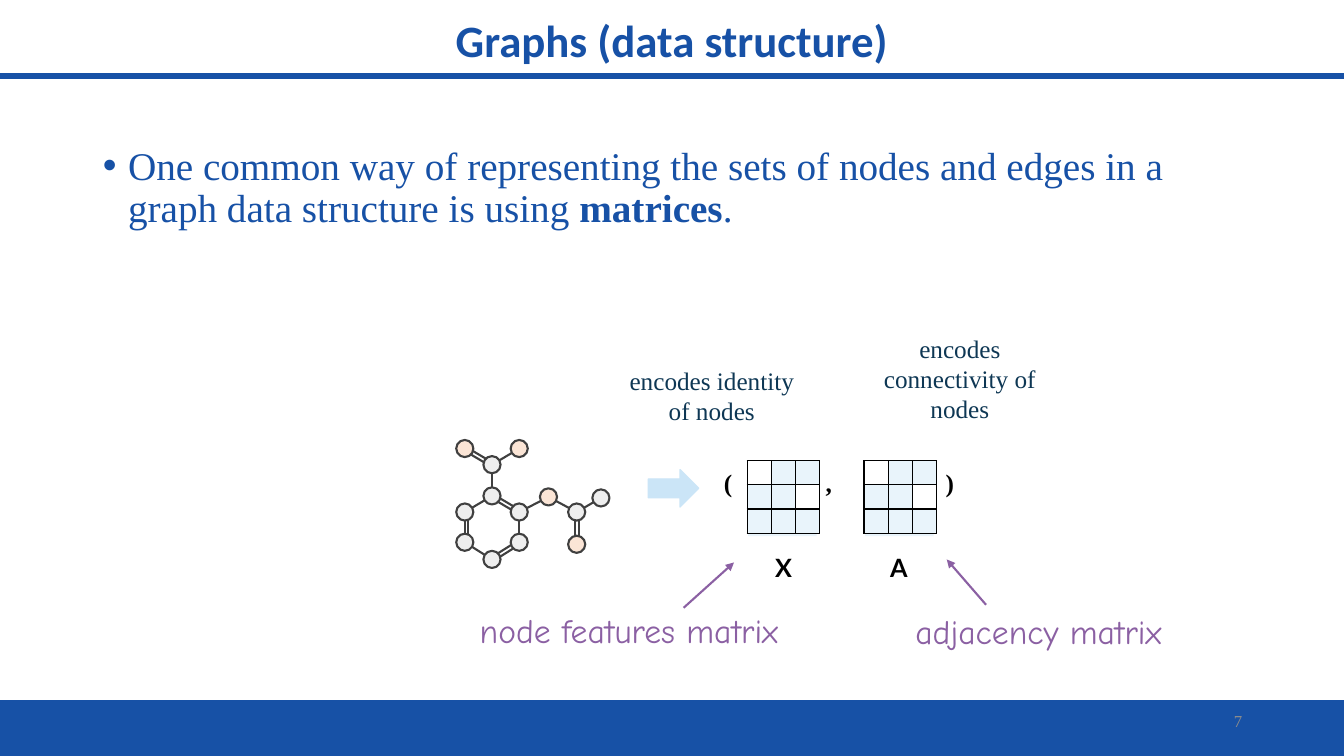
from dataclasses import dataclass
from math import hypot

from lxml import etree
from pptx import Presentation
from pptx import util as u
from pptx.dml.color import RGBColor
from pptx.enum import shapes, text
from pptx.oxml import ns

BLUE = RGBColor(0x17, 0x51, 0xA6)
NAVY = RGBColor(0x0E, 0x37, 0x54)
PURPLE = RGBColor(0x8B, 0x60, 0xA3)
PALE_BLUE = RGBColor(0xE9, 0xF4, 0xFB)
ARROW_BLUE = RGBColor(0xCB, 0xE5, 0xF7)
CARBON = RGBColor(0xEE, 0xEE, 0xEE)
OXYGEN = RGBColor(0xFB, 0xE5, 0xD6)
DARK_GREY = RGBColor(0x40, 0x40, 0x40)
GREY = RGBColor(0x8C, 0x8C, 0x8C)
BLACK = RGBColor(0, 0, 0)
WHITE = RGBColor(0xFF, 0xFF, 0xFF)
SERIF = "Times New Roman"
HAND = "Comic Neue"
CENTER, LEFT, RIGHT = text.PP_ALIGN.CENTER, text.PP_ALIGN.LEFT, text.PP_ALIGN.RIGHT
KIND = shapes.MSO_SHAPE
CELL = 0.24
ATOM_SIZE = 0.17
DOUBLE = (-0.02, 0.02)


@dataclass
class Label:
    words: str
    left: float
    top: float
    width: float
    height: float
    font: str
    size: int
    color: RGBColor
    align: text.PP_ALIGN = CENTER
    bold: bool = False
    wrap: bool = True


@dataclass
class Atom:
    x: float
    y: float
    color: RGBColor = CARBON


@dataclass
class Bond:
    start: int
    end: int
    offsets: tuple[float, ...] = (0,)


LABELS = [
    Label("7", 9.42, 6.95, 3, 0.4, SERIF, 12, GREY, RIGHT),
    Label("X", 7.59, 5.43, 0.34, 0.4, "Lato", 18, BLACK, bold=True, wrap=False),
    Label("A", 8.73, 5.43, 0.35, 0.4, "Lato", 18, BLACK, bold=True, wrap=False),
    Label("encodes identity of nodes", 6.11, 3.57, 1.9, 0.71, SERIF, 18, NAVY),
    Label("encodes connectivity of nodes", 8.57, 3.25, 1.9, 1.01, SERIF, 18, NAVY),
    Label("node features matrix", 4.66, 6, 4.67, 0.5, HAND, 24, PURPLE, LEFT),
    Label("adjacency matrix", 8.98, 6.01, 4.67, 0.5, HAND, 24, PURPLE, LEFT),
]
ATOMS = [
    Atom(4.61, 4.45, OXYGEN), Atom(4.88, 4.61), Atom(5.15, 4.45, OXYGEN),
    Atom(4.88, 4.92), Atom(4.61, 5.08), Atom(4.61, 5.38), Atom(4.88, 5.55),
    Atom(5.15, 5.38), Atom(5.15, 5.08), Atom(5.44, 4.93, OXYGEN),
    Atom(5.72, 5.08), Atom(5.72, 5.4, OXYGEN), Atom(5.96, 4.94),
]
BONDS = [
    Bond(0, 1, DOUBLE), Bond(1, 2), Bond(1, 3), Bond(3, 4), Bond(4, 5, (0, 0.03)),
    Bond(5, 6), Bond(6, 7, DOUBLE), Bond(7, 8), Bond(3, 8, DOUBLE), Bond(8, 9),
    Bond(9, 10), Bond(10, 11, DOUBLE), Bond(10, 12),
]


def add_run(para, words: str, font: str, size: int, color: RGBColor, bold: bool = False) -> None:
    span = para.add_run()
    span.text = words
    span.font.name = font
    span.font.size = u.Pt(size)
    span.font.color.rgb = color
    span.font.bold = bold


def place(shape, left: float, top: float, width: float, height: float) -> None:
    shape.left, shape.top = u.Inches(left), u.Inches(top)
    shape.width, shape.height = u.Inches(width), u.Inches(height)


def add_box(page, kind, left: float, top: float, width: float, height: float,
            fill: RGBColor | None = None, line: RGBColor | None = None, weight: float = 1):
    box = page.shapes.add_shape(kind, u.Inches(left), u.Inches(top), u.Inches(width), u.Inches(height))
    box.shadow.inherit = False
    if fill is None:
        box.fill.background()
    else:
        box.fill.solid()
        box.fill.fore_color.rgb = fill
    if line is None:
        box.line.fill.background()
    else:
        box.line.color.rgb = line
        box.line.width = u.Pt(weight)
    return box


def add_label(page, label: Label) -> None:
    box = page.shapes.add_textbox(0, 0, 0, 0)
    place(box, label.left, label.top, label.width, label.height)
    box.text_frame.word_wrap = label.wrap
    box.text_frame.vertical_anchor = text.MSO_ANCHOR.MIDDLE
    para = box.text_frame.paragraphs[0]
    para.alignment = label.align
    add_run(para, label.words, label.font, label.size, label.color, label.bold)


def add_line(page, x1: float, y1: float, x2: float, y2: float, color: RGBColor, arrow: bool = False) -> None:
    line = page.shapes.add_connector(
        shapes.MSO_CONNECTOR.STRAIGHT, u.Inches(x1), u.Inches(y1), u.Inches(x2), u.Inches(y2))
    line.line.color.rgb = color
    line.line.width = u.Pt(1.5)
    if arrow:
        etree.SubElement(line.line._get_or_add_ln(), ns.qn("a:tailEnd"), type="triangle")
    etree.SubElement(line._element.spPr, ns.qn("a:effectLst"))


def add_bond(page, bond: Bond) -> None:
    start, end = ATOMS[bond.start], ATOMS[bond.end]
    dx, dy = end.x - start.x, end.y - start.y
    length = hypot(dx, dy)
    for offset in bond.offsets:
        sx, sy = offset * dy / length, -offset * dx / length
        add_line(page, start.x + sx, start.y + sy, end.x + sx, end.y + sy, DARK_GREY)


def add_matrix(page, left: float, top: float) -> None:
    add_box(page, KIND.RECTANGLE, left + 0.01, top, 0.68, 0.75, PALE_BLUE)
    side = u.Inches(3 * CELL)
    table = page.shapes.add_table(3, 3, u.Inches(left), u.Inches(top), side, side).table
    for row in range(3):
        for column in range(3):
            cell = table.cell(row, column)
            cell.margin_left = cell.margin_right = cell.margin_top = cell.margin_bottom = 0
            properties = cell._tc.get_or_add_tcPr()
            for edge in ("lnL", "lnR", "lnT", "lnB"):
                border = etree.SubElement(properties, ns.qn(f"a:{edge}"), w=str(u.Pt(1)))
                paint = etree.SubElement(border, ns.qn("a:solidFill"))
                etree.SubElement(paint, ns.qn("a:srgbClr"), val=str(BLACK))
            cell.fill.solid()
            cell.fill.fore_color.rgb = WHITE if (row, column) in {(0, 0), (1, 2)} else PALE_BLUE
            etree.SubElement(cell.text_frame.paragraphs[0]._p, ns.qn("a:endParaRPr"), sz="800")


def add_title(page) -> None:
    title = page.shapes.title
    place(title, 0, -0.3, 13.33, 1.45)
    title.text_frame.vertical_anchor = text.MSO_ANCHOR.MIDDLE
    para = title.text_frame.paragraphs[0]
    para.alignment = CENTER
    para.line_spacing = 0.9
    add_run(para, "Graphs (data structure)", "Calibri", 32, BLUE, True)


def add_body(page) -> None:
    body = page.placeholders[1]
    place(body, 0.92, 1.4, 11.5, 5.35)
    body.text_frame.auto_size = text.MSO_AUTO_SIZE.NONE
    para = body.text_frame.paragraphs[0]
    para.line_spacing = 0.9
    para.space_before = u.Pt(10)
    properties = para._p.get_or_add_pPr()
    properties.set("marL", str(u.Inches(0.25)))
    properties.set("indent", str(-u.Inches(0.25)))
    etree.SubElement(properties, ns.qn("a:buFont"), typeface="Arial")
    etree.SubElement(properties, ns.qn("a:buChar"), char="•")
    add_run(para, "One common way of representing the sets of nodes and edges in a "
            "graph data structure is using ", SERIF, 28, BLUE)
    add_run(para, "matrices", SERIF, 28, BLUE, True)
    add_run(para, ".", SERIF, 28, BLUE)


def add_pair_brackets(page) -> None:
    box = add_box(page, KIND.ROUNDED_RECTANGLE, 6.81, 4.27, 3.04, 1.04)
    frame = box.text_frame
    frame.margin_left, frame.margin_right = u.Inches(0.32), 0
    frame.vertical_anchor = text.MSO_ANCHOR.MIDDLE
    para = frame.paragraphs[0]
    para.alignment = LEFT
    stops = etree.SubElement(para._p.get_or_add_pPr(), ns.qn("a:tabLst"))
    for stop in (1.01, 2.2):
        etree.SubElement(stops, ns.qn("a:tab"), pos=str(u.Inches(stop)), algn="l")
    add_run(para, "(\t,\t)", SERIF, 18, BLACK, True)


def main() -> None:
    deck = Presentation()
    deck.slide_width, deck.slide_height = u.Inches(13.33), u.Inches(7.5)
    page = deck.slides.add_slide(deck.slide_layouts[1])
    add_title(page)
    add_body(page)
    for top, height in ((6.95, 0.55), (0.73, 0.05)):
        add_box(page, KIND.RECTANGLE, 0, top, 13.33, height, BLUE, BLUE)
    add_pair_brackets(page)
    for left in (7.41, 8.57):
        add_matrix(page, left, 4.57)
    for bond in BONDS:
        add_bond(page, bond)
    for atom in ATOMS:
        add_box(page, KIND.OVAL, atom.x - ATOM_SIZE / 2, atom.y - ATOM_SIZE / 2,
                ATOM_SIZE, ATOM_SIZE, atom.color, DARK_GREY, 1.5)
    add_box(page, KIND.RIGHT_ARROW, 6.43, 4.66, 0.5, 0.37, ARROW_BLUE, ARROW_BLUE)
    for label in LABELS:
        add_label(page, label)
    add_line(page, 9.78, 6, 9.39, 5.55, PURPLE, arrow=True)
    add_line(page, 6.78, 6.03, 7.28, 5.58, PURPLE, arrow=True)
    deck.save("out.pptx")


if __name__ == "__main__":
    main()
